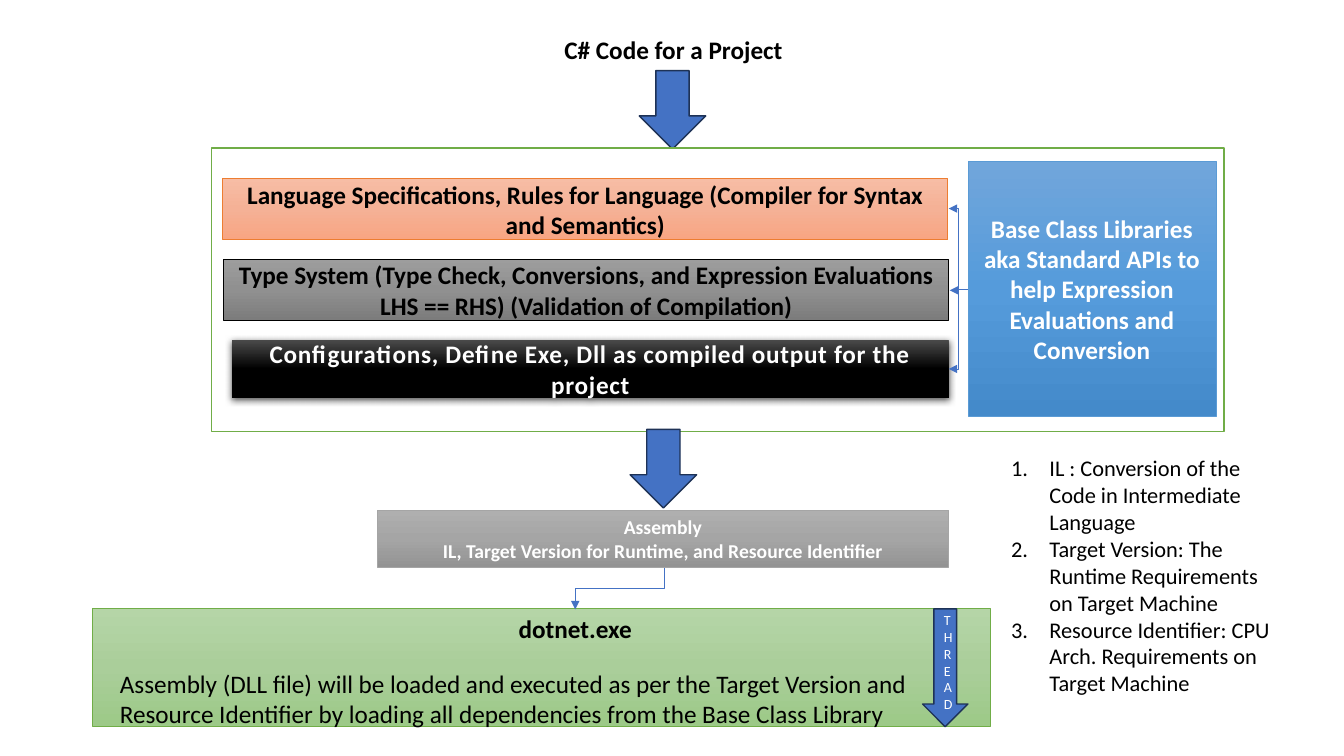
from lxml.etree import SubElement
from copy import deepcopy
from pptx import Presentation
from pptx.dml.color import RGBColor
from pptx.enum.shapes import MSO_CONNECTOR, MSO_SHAPE
from pptx.enum.text import MSO_ANCHOR, PP_ALIGN
from pptx.oxml.ns import qn
from pptx.util import Inches, Pt

COLORS = {
    "black": "000000", "white": "FFFFFF", "off_white": "FEFEFE",
    "blue": "4472C4", "navy": "1E3256", "green": "70AD47",
    "orange": "ED7D31", "sky": "5B9BD5", "gray": "A5A5A5",
}
GRADIENTS = {
    "orange": ["F7BDA5", "F5B196", "F8A582"],
    "dark_gray": ["9D9D9D", "909090", "7C7C7C"],
    "sky": ["71A6DB", "559BDB", "448ACA"],
    "gray": ["AFAFAF", "A5A5A5", "939393"],
    "black": ["4B4B4B", "000000", "000000"],
    "green": ["B5D5A7", "AACE9A", "9CC987"],
}

deck = Presentation()
deck.slide_width, deck.slide_height = Inches(13.33), Inches(7.5)
page = deck.slides.add_slide(deck.slide_layouts[6])


def add_box(place, fill=None, line=None, weight=0.5, kind=MSO_SHAPE.RECTANGLE):
    """Add a shape; fill names a gradient in a list or a plain colour as text."""
    box = page.shapes.add_shape(kind, *map(Inches, place))
    box.shadow.inherit = False
    if isinstance(fill, list):
        box.fill.gradient()
        box.fill.gradient_angle = 270
        stops = box.fill.gradient_stops
        first = stops[0]._gs
        first.addnext(deepcopy(first))
        for index, (stop, shade) in enumerate(zip(box.fill.gradient_stops, fill)):
            stop.position = index / 2
            stop.color.rgb = RGBColor.from_string(shade)
    else:
        box.fill.solid()
        box.fill.fore_color.rgb = RGBColor.from_string(COLORS[fill])
    if line:
        box.line.color.rgb = RGBColor.from_string(COLORS[line])
        box.line.width = Pt(weight)
    else:
        box.line.fill.background()
    return box


def write(box, lines, size, color="black", bold=False, align=PP_ALIGN.CENTER,
          anchor=MSO_ANCHOR.MIDDLE, numbered=False):
    frame = box.text_frame
    frame.word_wrap = True
    frame.vertical_anchor = anchor
    frame.text = "\n".join(lines)
    for para in frame.paragraphs:
        para.alignment = align
        if numbered:
            properties = para._p.get_or_add_pPr()
            properties.set("marL", str(Inches(0.38)))
            properties.set("indent", str(-Inches(0.38)))
            SubElement(properties, qn("a:buFont"), typeface="+mj-lt")
            SubElement(properties, qn("a:buAutoNum"), type="arabicPeriod")
        for span in para.runs:
            span.font.name = "Calibri"
            span.font.size = Pt(size)
            span.font.bold = bold
            span.font.color.rgb = RGBColor.from_string(COLORS[color])


# Compiler stage
add_box((6.34, 0.7, 0.66, 0.78), "blue", "navy", 1, MSO_SHAPE.DOWN_ARROW)
add_box((2.1, 1.47, 10.04, 2.81), "white", "green", 1)
compiler_boxes = [
    ((2.21, 1.77, 7.19, 0.61), "orange", "orange", "black",
     "Language Specifications, Rules for Language (Compiler for Syntax and Semantics)"),
    ((2.22, 2.57, 7.19, 0.61), "dark_gray", "black", "black",
     "Type System (Type Check, Conversions, and Expression Evaluations "
     "LHS == RHS) (Validation of Compilation)"),
    ((9.6, 1.6, 2.46, 2.53), "sky", "sky", "white",
     "Base Class Libraries aka Standard APIs to help Expression Evaluations and Conversion"),
    ((2.3, 3.37, 7.11, 0.58), "black", None, "off_white",
     "Configurations, Define Exe, Dll as compiled output for the project"),
]
for place, gradient, line, color, text in compiler_boxes:
    box = add_box(place, GRADIENTS[gradient], line)
    write(box, [text], 18, color, bold=True)

# The last compiler box has a drop shadow and outlined, spaced letters
effects = box._element.spPr.find(qn("a:effectLst"))
drop = SubElement(effects, qn("a:outerShdw"), blurRad=str(Pt(4.5)), dist=str(Pt(1.5)),
                  dir="5400000", algn="ctr", rotWithShape="0")
shade = SubElement(drop, qn("a:srgbClr"), val=COLORS["black"])
SubElement(shade, qn("a:alpha"), val="63000")
letters = box.text_frame.paragraphs[0].runs[0]._r.get_or_add_rPr()
letters.set("spc", "50")
outline = letters.makeelement(qn("a:ln"), {"w": str(Pt(0.75))})
SubElement(SubElement(outline, qn("a:solidFill")), qn("a:srgbClr"), val=COLORS["blue"])
letters.insert(0, outline)

# Assembly and runtime stages
add_box((6.25, 4.26, 0.66, 0.78), "blue", "navy", 1, MSO_SHAPE.DOWN_ARROW)
assembly = add_box((3.74, 5.06, 5.67, 0.57), GRADIENTS["gray"], "gray")
write(assembly, ["Assembly", "IL, Target Version for Runtime, and Resource Identifier"],
      14, "white", bold=True, anchor=MSO_ANCHOR.TOP)
add_box((0.92, 6.04, 8.9, 1.17), GRADIENTS["green"], "green")

# Elbow arrows: begin x, begin y, end x, end y, rotation in degrees
elbows = [
    (9.6, 2.87, 9.41, 2.07, 0),
    (9.6, 2.87, 9.42, 2.88, 0),
    (9.6, 2.87, 9.41, 3.66, 0),
    (5.94, 5.4, 6.35, 6.28, 90),
]
for *ends, rotation in elbows:
    elbow = page.shapes.add_connector(MSO_CONNECTOR.ELBOW, *map(Inches, ends))
    elbow.line.color.rgb = RGBColor.from_string(COLORS["blue"])
    elbow.line.width = Pt(0.5)
    SubElement(elbow.line._get_or_add_ln(), qn("a:tailEnd"), type="triangle")
    properties = elbow._element.spPr
    SubElement(properties, qn("a:effectLst"))
    if rotation:
        properties.find(qn("a:xfrm")).set("rot", str(rotation * 60000))

# Plain text
labels = [
    ((4.21, 0.29, 4.94, 0.4), ["C# Code for a Project"], 18, True, PP_ALIGN.CENTER, False),
    ((9.93, 4.46, 2.92, 2.52),
     ["IL : Conversion of the Code in Intermediate Language",
      "Target Version: The Runtime Requirements on Target Machine",
      "Resource Identifier: CPU Arch. Requirements on Target Machine"],
     16, False, PP_ALIGN.LEFT, True),
    ((3.84, 6.04, 3.73, 0.4), ["dotnet.exe"], 18, True, PP_ALIGN.CENTER, False),
    ((1.09, 6.58, 8.51, 0.71),
     ["Assembly (DLL file) will be loaded and executed as per the Target Version and "
      "Resource Identifier by loading all dependencies from the Base Class Library"],
     18, False, PP_ALIGN.LEFT, False),
]
for place, lines, size, bold, align, numbered in labels:
    label = page.shapes.add_textbox(*map(Inches, place))
    write(label, lines, size, bold=bold, align=align, anchor=MSO_ANCHOR.TOP,
          numbered=numbered)

thread = add_box((9.15, 6.04, 0.45, 1.17), "blue", "navy", 1, MSO_SHAPE.DOWN_ARROW)
write(thread, list("THREAD"), 10, "white")

deck.save("out.pptx")
